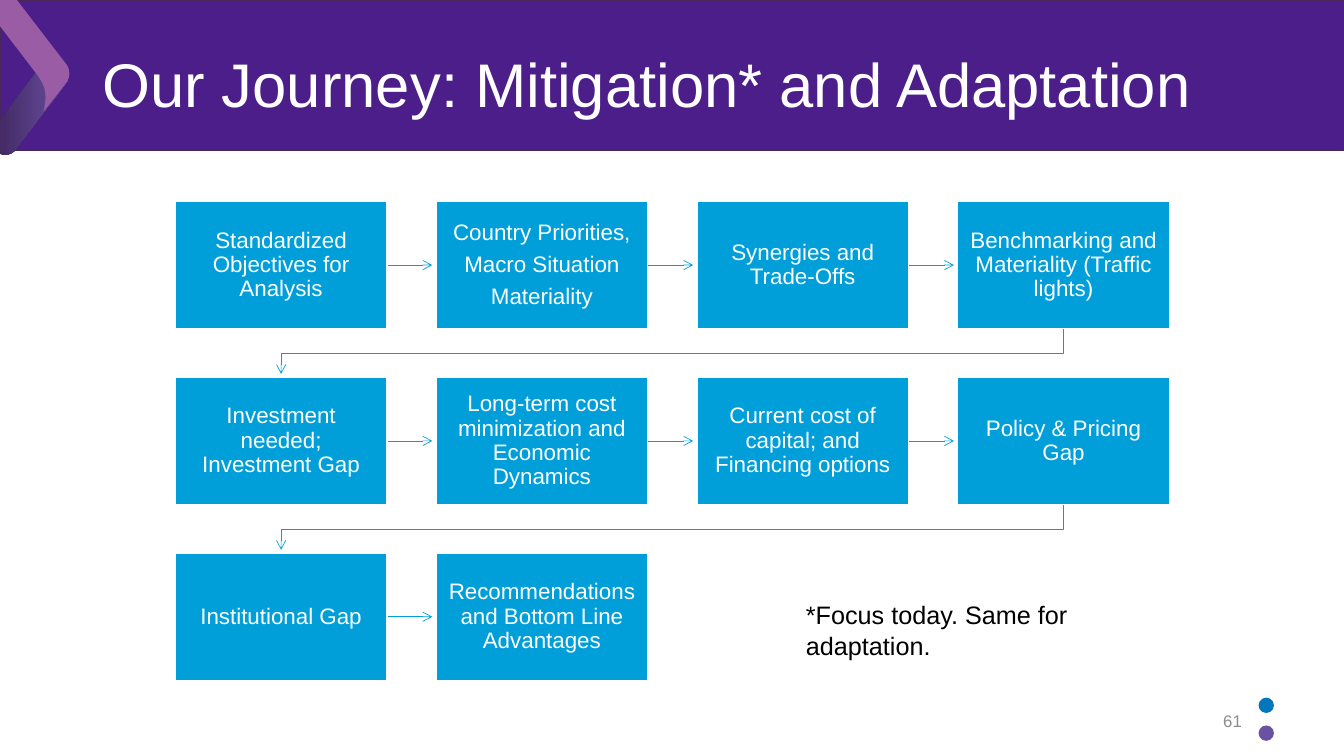
from lxml import etree
from pptx import Presentation
from pptx import util as u
from pptx.dml.color import RGBColor
from pptx.enum import shapes, text
from pptx.oxml import ns

COLORS = {
    "banner": "4C1E89", "banner_line": "49275B", "orchid": "995CA5",
    "violet_dark": "3D245B", "violet": "6A51A2", "dot_blue": "0076BC",
    "step": "009FDA", "white": "FFFFFF", "black": "000000", "gray": "8C8C8C",
}
STEPS = [
    "Standardized Objectives for Analysis",
    "Country Priorities,\nMacro Situation\nMateriality",
    "Synergies and Trade-Offs",
    "Benchmarking and Materiality (Traffic lights)",
    "Investment needed; Investment Gap",
    "Long-term cost minimization and Economic Dynamics",
    "Current cost of capital; and Financing options",
    "Policy & Pricing Gap",
    "Institutional Gap",
    "Recommendations and Bottom Line Advantages",
]
COLUMNS = 4
GRID_LEFT, GRID_TOP = 125.2, 144
STEP_WIDTH, STEP_HEIGHT = 151.2, 90.7
COLUMN_PITCH, ROW_PITCH = 186.3, 125.6
ARROW_LENGTH = 32.4
ELBOW_DROP = 17.7

# Outlines in points: two numbers are a corner, six numbers are a cubic curve.
CHEVRON_LOWER = [
    (10.8, 107.3), (47.5, 59), (50.4, 55.4, 49.7, 49.7, 45.4, 46.8),
    (43.2, 44.6), (39.6, 41.8, 33.8, 42.5, 30.2, 46.1), (-6.5, 94.3),
    (-9.4, 97.9, -8.6, 103.7, -4.3, 107.3), (-2.2, 108.7),
    (2.2, 111.6, 7.9, 110.9, 10.8, 107.3),
]
CHEVRON_UPPER = [
    (25.9, 52.6), (-5, 12.2), (-8.6, 7.2, -7.9, 0.7, -3.6, -2.9),
    (1.4, -6.5, 7.9, -5, 11.5, -0.7), (47.5, 46.1),
    (49.7, 49, 50.4, 54, 48.2, 57.6), (47.5, 59, 31, 79.9, 31, 79.9),
    (31, 79.9, 33.1, 73.4, 32.4, 67), (32.4, 60.5, 25.9, 52.6, 25.9, 52.6),
]


def flatten(outline, pieces=10):
    """Turn corners and cubic curves into a plain list of points."""
    points = []
    for part in outline:
        if len(part) == 2:
            points.append(part)
            continue
        controls = [points[-1], part[:2], part[2:4], part[4:]]
        for piece in range(1, pieces + 1):
            t = piece / pieces
            weights = ((1 - t) ** 3, 3 * t * (1 - t) ** 2, 3 * t * t * (1 - t), t ** 3)
            points.append(tuple(
                sum(weight * control[axis] for weight, control in zip(weights, controls))
                for axis in (0, 1)))
    return points


def rgb(name):
    return RGBColor.from_string(COLORS[name])


class SlideBuilder:
    font = "Arial"

    def __init__(self, slide):
        self.shapes = slide.shapes

    def set_text(self, shape, content, size, color, align=text.PP_ALIGN.LEFT,
                 anchor=text.MSO_ANCHOR.MIDDLE, inset=None, line_spacing=None,
                 space_after=None):
        frame = shape.text_frame
        frame.word_wrap = True
        frame.vertical_anchor = anchor
        if inset is not None:
            frame.margin_left = frame.margin_right = u.Pt(inset)
            frame.margin_top = frame.margin_bottom = u.Pt(inset)
        frame.text = content
        for paragraph in frame.paragraphs:
            paragraph.alignment = align
            paragraph.line_spacing = line_spacing
            if space_after is not None:
                paragraph.space_after = u.Pt(space_after)
            for run in paragraph.runs:
                run.font.name = self.font
                run.font.size = u.Pt(size)
                run.font.color.rgb = rgb(color)

    def label(self, left, top, width, height, content, size, color, **style):
        box = self.shapes.add_textbox(u.Pt(left), u.Pt(top), u.Pt(width), u.Pt(height))
        self.set_text(box, content, size, color, **style)

    def preset(self, kind, left, top, width, height, fill, line=None):
        shape = self.shapes.add_shape(kind, u.Pt(left), u.Pt(top), u.Pt(width), u.Pt(height))
        shape.shadow.inherit = False
        shape.fill.solid()
        shape.fill.fore_color.rgb = rgb(fill)
        if line:
            shape.line.color.rgb = rgb(line)
            shape.line.width = u.Pt(1)
        else:
            shape.line.fill.background()
        return shape

    def outline(self, points, close):
        corners = [(u.Pt(x), u.Pt(y)) for x, y in points]
        builder = self.shapes.build_freeform(*corners[0])
        builder.add_line_segments(corners[1:], close=close)
        shape = builder.convert_to_shape()
        shape.shadow.inherit = False
        return shape

    def chevron(self, outline, *colors):
        """Fill with one colour, or with a left-to-right gradient of two."""
        shape = self.outline(flatten(outline), close=True)
        shape.line.fill.background()
        if len(colors) == 1:
            shape.fill.solid()
            shape.fill.fore_color.rgb = rgb(colors[0])
            return
        shape.fill.gradient()
        shape.fill.gradient_angle = 0
        for stop, color, position in zip(shape.fill.gradient_stops, colors, (0, 1)):
            stop.color.rgb = rgb(color)
            stop.position = position

    def arrow_style(self, shape):
        shape.line.color.rgb = rgb("step")
        shape.line.width = u.Pt(0.5)
        line = shape._element.spPr.find(ns.qn("a:ln"))
        etree.SubElement(line, ns.qn("a:tailEnd")).set("type", "arrow")

    def arrow(self, x, y, length):
        connector = self.shapes.add_connector(
            shapes.MSO_CONNECTOR.STRAIGHT, u.Pt(x), u.Pt(y), u.Pt(x + length), u.Pt(y))
        self.arrow_style(connector)
        etree.SubElement(connector._element.spPr, ns.qn("a:effectLst"))

    def elbow(self, points):
        shape = self.outline(points, close=False)
        shape.fill.background()
        self.arrow_style(shape)

    def step(self, left, top, content):
        shape = self.preset(shapes.MSO_SHAPE.RECTANGLE, left, top,
                            STEP_WIDTH, STEP_HEIGHT, "step", "white")
        self.set_text(shape, content, 16, "white", align=text.PP_ALIGN.CENTER,
                      inset=8.6, line_spacing=0.9, space_after=5.6)


def add_journey(builder):
    first_center = GRID_LEFT + STEP_WIDTH / 2
    for index, content in enumerate(STEPS):
        row, column = divmod(index, COLUMNS)
        left = GRID_LEFT + column * COLUMN_PITCH
        top = GRID_TOP + row * ROW_PITCH
        bottom = top + STEP_HEIGHT
        if index < len(STEPS) - 1:
            if column < COLUMNS - 1:
                builder.arrow(left + STEP_WIDTH, top + STEP_HEIGHT / 2, ARROW_LENGTH)
            else:
                center = left + STEP_WIDTH / 2
                builder.elbow([
                    (center, bottom), (center, bottom + ELBOW_DROP),
                    (first_center, bottom + ELBOW_DROP), (first_center, bottom + ARROW_LENGTH)])
        builder.step(left, top, content)


def main():
    presentation = Presentation()
    presentation.slide_width, presentation.slide_height = u.Pt(960), u.Pt(540)
    builder = SlideBuilder(presentation.slides.add_slide(presentation.slide_layouts[6]))

    builder.preset(shapes.MSO_SHAPE.RECTANGLE, 0, 0, 960, 107.3, "banner", "banner_line")
    builder.chevron(CHEVRON_LOWER, "violet_dark", "violet")
    builder.chevron(CHEVRON_UPPER, "orchid")
    for top, color in ((498.3, "dot_blue"), (518.2, "violet")):
        builder.preset(shapes.MSO_SHAPE.OVAL, 899, top, 11, 11, color)
    builder.label(66, 17.3, 828, 90, "Our Journey: Mitigation* and Adaptation", 44, "white",
                  line_spacing=0.9)
    add_journey(builder)
    builder.label(678.2, 500.4, 216, 28.8, "61", 12, "gray", align=text.PP_ALIGN.RIGHT)
    builder.label(568.6, 424.8, 270.7, 51, "*Focus today. Same for adaptation.", 18, "black",
                  anchor=text.MSO_ANCHOR.TOP)
    presentation.save("out.pptx")


if __name__ == "__main__":
    main()
